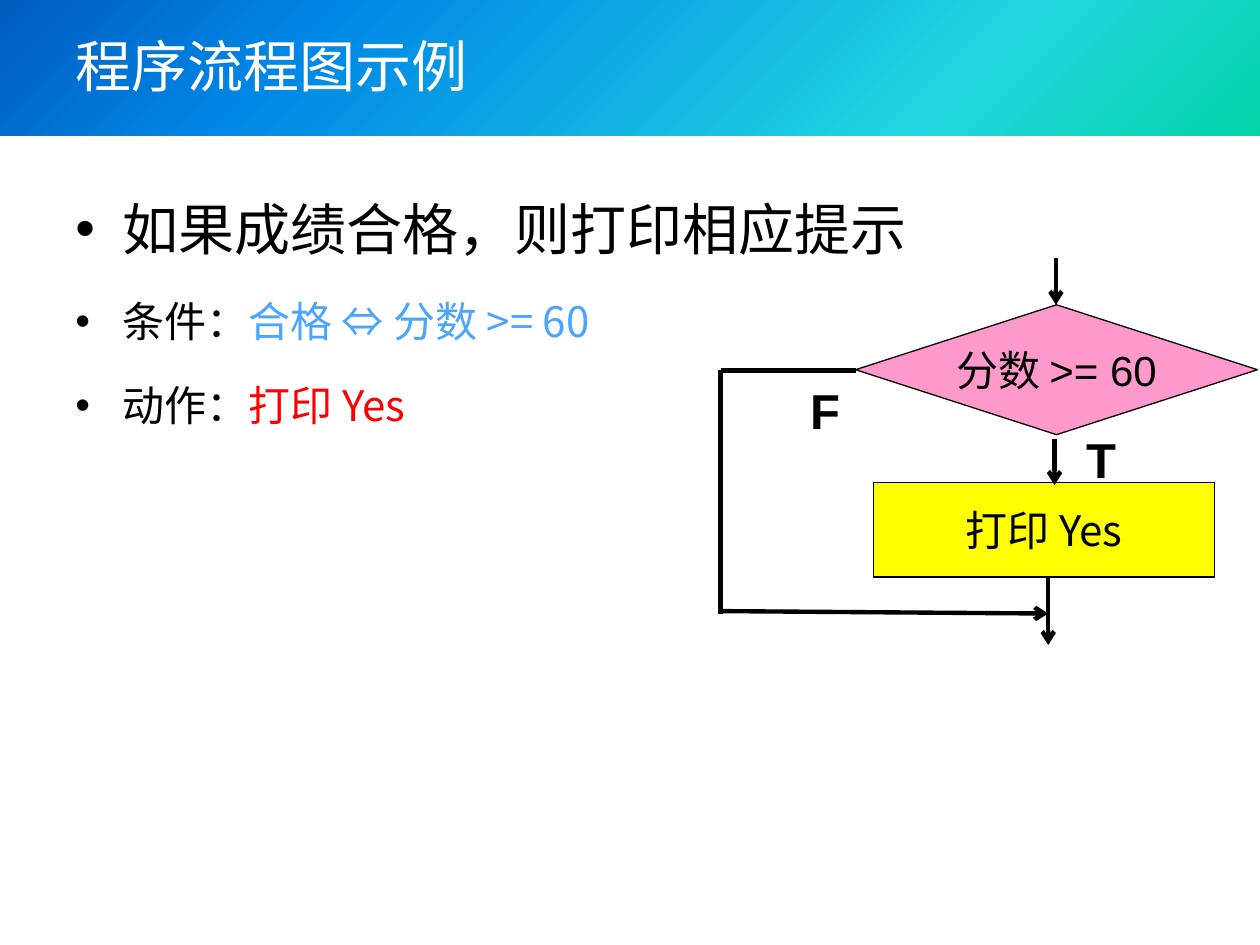
from lxml import etree
from pptx import Presentation
from pptx.dml.color import RGBColor
from pptx.enum.shapes import MSO_CONNECTOR, MSO_SHAPE
from pptx.enum.text import MSO_ANCHOR, PP_ALIGN
from pptx.oxml import parse_xml
from pptx.oxml.ns import qn
from pptx.util import Pt

MIDDLE, TOP = MSO_ANCHOR.MIDDLE, MSO_ANCHOR.TOP
CENTER, LEFT = PP_ALIGN.CENTER, PP_ALIGN.LEFT
STRAIGHT = MSO_CONNECTOR.STRAIGHT
RECT, DECISION = MSO_SHAPE.RECTANGLE, MSO_SHAPE.FLOWCHART_DECISION

BLACK = RGBColor(0, 0, 0)
WHITE = RGBColor(255, 255, 255)
BLUE = RGBColor(0x4B, 0xA5, 0xFF)
RED = RGBColor(255, 0, 0)
PINK = RGBColor(0xFF, 0x99, 0xCC)
YELLOW = RGBColor(255, 255, 0)
BANNER_STOPS = [(0, "03D4A8"), (25, "21D6E0"), (75, "0087E6"), (100, "005CBF")]
CJK, ARIAL = "Noto Sans CJK SC", "Arial"

# Lengths are in points; boxes are left, top, width, height.
TITLE = "程序流程图示例"
BULLETS = [  # size, space before, runs
    (32, 0, [("如果成绩合格，则打印相应提示", BLACK)]),
    (24, 4.8, [("条件：", BLACK), ("合格 ⇔ 分数 >= 60", BLUE)]),
    (24, 4.8, [("动作：", BLACK), ("打印 Yes", RED)]),
]
NODES = [
    (DECISION, (488.9, 174.2, 229.7, 74.2), PINK, "分数 >= 60", ARIAL),
    (RECT, (499, 275.8, 195.1, 54), YELLOW, "打印 Yes", CJK),
]
LINES = [  # start, end, arrowhead
    ((603.4, 147.6), (603.4, 174.2), True),
    ((602.6, 250.6), (602.6, 277.2), True),
    ((599, 330.5), (599, 368.6), True),
    ((488.9, 211.7), (411.8, 211.7), False),
    ((411.8, 211.7), (411.8, 350.6), False),
    ((411.8, 349.2), (599, 350.6), True),
]
BRANCH_LABELS = [("F", 444.2, 211.7), ("T", 601.9, 239.8)]


def points(values):
    return [Pt(v) for v in values]


def add_run(p, text, size, color, font=CJK, bold=False):
    r = p.add_run()
    r.text = text
    for name, value in {"size": Pt(size), "name": font, "bold": bold}.items():
        setattr(r.font, name, value)
    r.font.color.rgb = color
    ea = etree.SubElement(r.font._element, qn("a:ea"))
    ea.set("typeface", CJK)


def format_frame(tf, anchor, wrap=True, margins=(7.2, 3.6, 7.2, 3.6)):
    tf.word_wrap = wrap
    tf.vertical_anchor = anchor
    sides = ("left", "top", "right", "bottom")
    for side, value in zip(sides, margins):
        setattr(tf, f"margin_{side}", Pt(value))


def add_text_box(s, box, anchor, **frame):
    tf = s.shapes.add_textbox(*points(box)).text_frame
    format_frame(tf, anchor, **frame)
    return tf


def add_banner(s):
    sp = s.shapes.add_shape(RECT, *points((0, 0, 720, 77.5)))
    sp.shadow.inherit = False
    sp.line.fill.background()
    stops = "".join(
        f'<a:gs pos="{pos * 1000}"><a:srgbClr val="{color}"/></a:gs>'
        for pos, color in BANNER_STOPS)
    sp._element.spPr.find(qn("a:prstGeom")).addnext(parse_xml(
        '<a:gradFill xmlns:a="http://schemas.openxmlformats.org/drawingml/2006/main"'
        f' rotWithShape="1"><a:gsLst>{stops}</a:gsLst><a:path path="circle">'
        '<a:fillToRect l="100000" t="100000"/></a:path></a:gradFill>'))


def add_bullets(s):
    tf = add_text_box(s, (36, 88.5, 648, 394), TOP)
    for i, (size, before, runs) in enumerate(BULLETS):
        p = tf.add_paragraph() if i else tf.paragraphs[0]
        pPr = p._p.get_or_add_pPr()
        pPr.set("marL", str(Pt(27)))
        pPr.set("indent", str(-Pt(27)))
        etree.SubElement(pPr, qn("a:buFont")).set("typeface", ARIAL)
        etree.SubElement(pPr, qn("a:buChar")).set("char", "•")
        p.line_spacing = 1.5
        p.space_before = Pt(before)
        p.alignment = LEFT
        for text, color in runs:
            add_run(p, text, size, color)


def add_node(s, shape, box, fill, text, font):
    sp = s.shapes.add_shape(shape, *points(box))
    sp.shadow.inherit = False
    sp.fill.solid()
    sp.fill.fore_color.rgb = fill
    sp.line.color.rgb = BLACK
    sp.line.width = Pt(0.75)
    format_frame(sp.text_frame, MIDDLE, wrap=False)
    p = sp.text_frame.paragraphs[0]
    p.alignment = CENTER
    add_run(p, text, 24, BLACK, font)


def add_line(s, start, end, arrow):
    line = s.shapes.add_connector(STRAIGHT, *points(start + end))
    line.line.color.rgb = BLACK
    line.line.width = Pt(2.5)
    if arrow:
        ln = line.line._get_or_add_ln()
        etree.SubElement(ln, qn("a:tailEnd")).set("type", "arrow")
    etree.SubElement(line._element.spPr, qn("a:effectLst"))


def main():
    prs = Presentation()
    prs.slide_width, prs.slide_height = Pt(720), Pt(540)
    s = prs.slides.add_slide(prs.slide_layouts[6])
    add_banner(s)
    title = add_text_box(s, (36, 9.4, 648, 55.4), MIDDLE)
    add_run(title.paragraphs[0], TITLE, 32, WHITE)
    add_bullets(s)
    for node in NODES:
        add_node(s, *node)
    for line in LINES:
        add_line(s, *line)
    for text, left, top in BRANCH_LABELS:
        tf = add_text_box(s, (left, top, 54.7, 39.6), MIDDLE,
                          margins=(1.4, 5.8, 1.4, 0.7))
        tf.paragraphs[0].alignment = CENTER
        add_run(tf.paragraphs[0], text, 28, BLACK, ARIAL, bold=True)
    prs.save("out.pptx")


if __name__ == "__main__":
    main()
